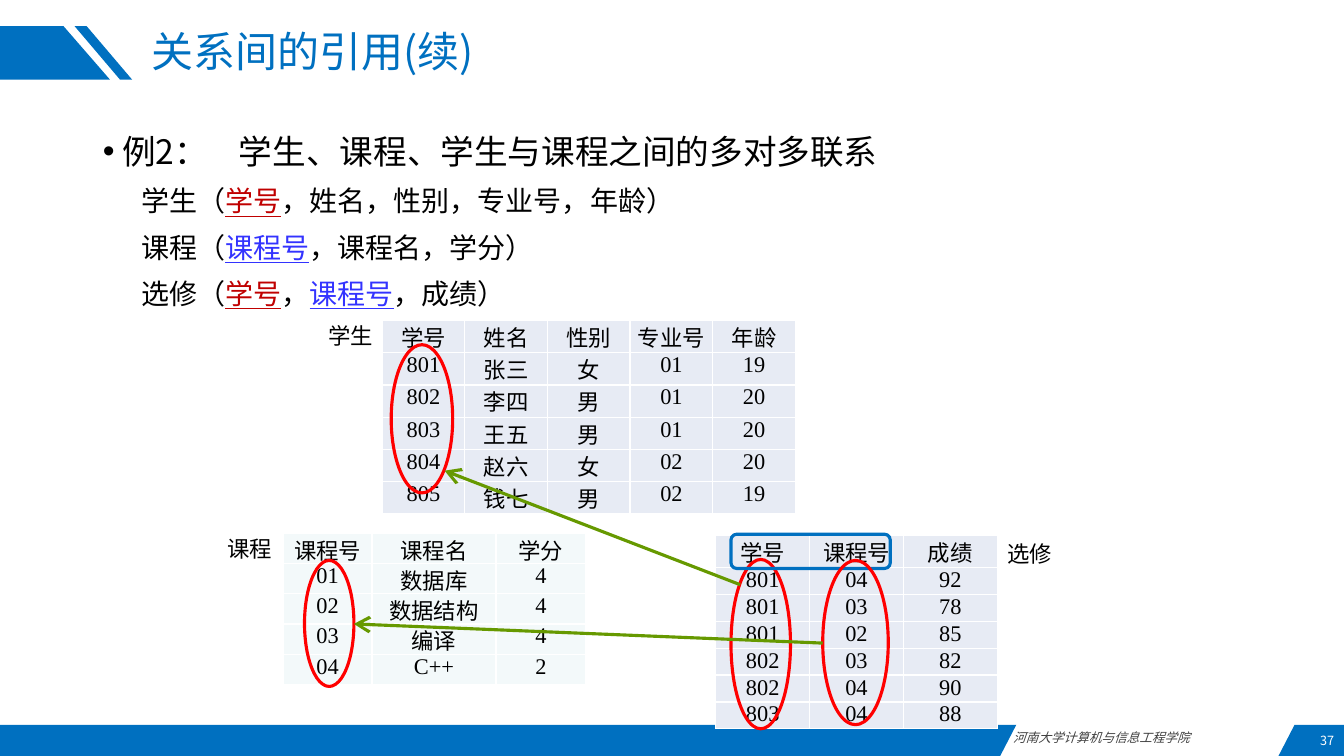
from lxml import etree
from pptx import Presentation
from pptx.dml.color import RGBColor
from pptx.enum.shapes import MSO_CONNECTOR, MSO_SHAPE
from pptx.enum.text import MSO_ANCHOR, MSO_AUTO_SIZE, PP_ALIGN
from pptx.oxml.ns import qn
from pptx.util import Inches, Pt

LEFT, CENTER, RIGHT = PP_ALIGN.LEFT, PP_ALIGN.CENTER, PP_ALIGN.RIGHT
JUSTIFY = PP_ALIGN.JUSTIFY
TOP, MIDDLE = MSO_ANCHOR.TOP, MSO_ANCHOR.MIDDLE
OVAL, ROUNDED = MSO_SHAPE.OVAL, MSO_SHAPE.ROUNDED_RECTANGLE

CJK, SERIF = "Noto Sans CJK SC", "Times New Roman"
BLUE, BLACK, WHITE = "0070C0", "000000", "FFFFFF"
RED, GREEN, CRIMSON, INDIGO = "FF0000", "669900", "C00000", "3333FF"

# Content
TITLE = "关系间的引用(续)"
STUDENT_KEY, COURSE_KEY = ("学号", CRIMSON), ("课程号", INDIGO)
HEADING = [("例2：\t学生、课程、学生与课程之间的多对多联系", BLACK)]
RELATIONS = [
    [("学生（", BLACK), STUDENT_KEY, ("，姓名，性别，专业号，年龄）", BLACK)],
    [("课程（", BLACK), COURSE_KEY, ("，课程名，学分）", BLACK)],
    [("选修（", BLACK), STUDENT_KEY, ("，", BLACK), COURSE_KEY, ("，成绩）", BLACK)],
]
TABLES = [
    dict(at=(2.81, 5.29), cols=[0.88, 1.23, 0.89], heights=(0.3, 0.3),
         fill="F3F9FA", head_font="Arial", rows=[
             "课程号 课程名 学分", "01 数据库 4", "02 数据结构 4",
             "03 编译 4", "04 C++ 2"]),
    dict(at=(7.1, 5.31), cols=[0.93] * 3, heights=(0.32, 0.25),
         fill="E7EBF4", head_font=CJK, rows=[
             "学号 课程号 成绩", "801 04 92", "801 03 78", "801 02 85",
             "802 03 82", "802 04 90", "803 04 88"]),
    dict(at=(3.79, 3.18), cols=[0.82] * 5, heights=(0.32, 0.32),
         fill="E7EBF4", head_font=CJK, rows=[
             "学号 姓名 性别 专业号 年龄", "801 张三 女 01 19",
             "802 李四 男 01 20", "803 王五 男 01 20",
             "804 赵六 女 02 20", "805 钱七 男 02 19"]),
]
TABLE_NAMES = [("学生", 3.16, 3.15), ("选修", 9.89, 5.31), ("课程", 2.16, 5.26)]
BANDS = [
    [(0, 0.26), (0.63, 0.26), (1.09, 0.79), (0, 0.79)],
    [(0.86, 0.26), (1.31, 0.79), (1.19, 0.79), (0.74, 0.26)],
    [(0, 7.19), (10.08, 7.19), (9.92, 7.5), (0, 7.5)],
    [(12.84, 7.19), (13.33, 7.19), (13.33, 7.5), (12.68, 7.5)],
]
OUTLINES = [
    (OVAL, (3.02, 5.56, 0.49, 1.25), RED),
    (OVAL, (3.88, 3.42, 0.61, 1.47), RED),
    (OVAL, (7.25, 5.55, 0.59, 1.68), RED),
    (ROUNDED, (7.25, 5.3, 1.58, 0.34), BLUE),
    (OVAL, (8.16, 5.56, 0.65, 1.63), RED),
]
REFERENCES = [((7.34, 5.8), (4.41, 4.67)), ((8.16, 6.38), (3.51, 6.19))]


def rgb(value):
    return RGBColor.from_string(value)


def inches(values):
    return [Inches(v) for v in values]


def add_run(p, text, size, color=BLACK, font=CJK, **formats):
    r = p.add_run()
    r.text = text
    settings = dict(name=font, size=Pt(size), bold=False, **formats)
    for key, value in settings.items():
        setattr(r.font, key, value)
    r.font.color.rgb = rgb(color)
    etree.SubElement(r.font._element, qn("a:ea"), typeface=CJK)


def add_label(text, box, size, color=BLACK, align=LEFT, anchor=TOP, **formats):
    tf = s.shapes.add_textbox(*inches(box)).text_frame
    tf.word_wrap, tf.vertical_anchor = True, anchor
    tf.paragraphs[0].alignment = align
    add_run(tf.paragraphs[0], text, size, color, **formats)


def fill_cell(cell, text, font, fill):
    cell.margin_left = cell.margin_right = Inches(0.07)
    cell.margin_top = cell.margin_bottom = 0
    tc_pr = cell._tc.get_or_add_tcPr()
    for side in ("a:lnL", "a:lnR", "a:lnT", "a:lnB"):
        ln = etree.SubElement(tc_pr, qn(side), w=str(Pt(1)))
        solid = etree.SubElement(ln, qn("a:solidFill"))
        etree.SubElement(solid, qn("a:srgbClr"), val=WHITE)
    cell.fill.solid()
    cell.fill.fore_color.rgb = rgb(fill)
    p = cell.text_frame.paragraphs[0]
    p.alignment = CENTER
    add_run(p, text, 16, font=font)


def add_relation(at, cols, heights, fill, head_font, rows):
    total = heights[0] + heights[1] * (len(rows) - 1)
    frame = s.shapes.add_table(len(rows), len(cols), *inches(at),
                               Inches(sum(cols)), Inches(total))
    table = frame.table
    table.first_row = table.horz_banding = False
    for column, width in zip(table.columns, cols):
        column.width = Inches(width)
    for i, row in enumerate(rows):
        table.rows[i].height = Inches(heights[min(i, 1)])
        for j, text in enumerate(row.split()):
            fill_cell(table.cell(i, j), text, SERIF if i else head_font, fill)
    frame.height = Inches(total)


prs = Presentation()
prs.slide_width, prs.slide_height = Inches(13.33), Inches(7.5)
s = prs.slides.add_slide(prs.slide_layouts[1])

# Header and footer bands
for points in BANDS:
    corners = [inches(point) for point in points]
    builder = s.shapes.build_freeform(*corners[0])
    builder.add_line_segments(corners[1:], close=True)
    sp = builder.convert_to_shape()
    sp.shadow.inherit = False
    sp.fill.solid()
    sp.fill.fore_color.rgb = rgb(BLUE)
    sp.line.fill.background()
add_label("河南大学计算机与信息工程学院", (9.95, 7.19, 2.73, 0.25), 9, "404040",
          JUSTIFY, italic=True)
add_label("37", (11.94, 7.2, 1.39, 0.3), 9, WHITE, RIGHT, MIDDLE)

# Title and relation schemas
title, body = s.shapes.title, s.placeholders[1]
for sp, box, anchor in ((title, (1.4, 0.26, 10.45, 0.56), MIDDLE),
                        (body, (0.92, 1.25, 11.5, 5.72), TOP)):
    sp.left, sp.top, sp.width, sp.height = inches(box)
    sp.text_frame.auto_size = MSO_AUTO_SIZE.NONE
    sp.text_frame.vertical_anchor = anchor
p = title.text_frame.paragraphs[0]
p.alignment, p.line_spacing = LEFT, 0.9
add_run(p, TITLE, 30, BLUE)

tf = body.text_frame
for i, parts in enumerate([HEADING] + RELATIONS):
    p = tf.add_paragraph() if i else tf.paragraphs[0]
    p.level = 1 if i else 0
    p.line_spacing = 1.0
    p.space_before, p.space_after = Pt(4.5 if i else 0), Pt(4.5)
    p_pr = p._p.get_or_add_pPr()
    p_pr.set("marL", str(Inches(0.38 if i else 0.19)))
    p_pr.set("indent", str(Inches(0 if i else -0.19)))
    if i:
        etree.SubElement(p_pr, qn("a:buNone"))
    else:
        etree.SubElement(p_pr, qn("a:buFont"), typeface="Arial")
        etree.SubElement(p_pr, qn("a:buChar"), char="•")
        tabs = etree.SubElement(p_pr, qn("a:tabLst"))
        etree.SubElement(tabs, qn("a:tab"), pos=str(Inches(1.35)), algn="l")
    for text, color in parts:
        add_run(p, text, 20 if i else 24, color, underline=color != BLACK)

# Relation tables and their names
for relation in TABLES:
    add_relation(**relation)
for name, x, y in TABLE_NAMES:
    add_label(name, (x, y, 0.7, 0.37), 16)

# Key outlines and reference arrows
for kind, box, color in OUTLINES:
    sp = s.shapes.add_shape(kind, *inches(box))
    sp.shadow.inherit = False
    sp.fill.background()
    sp.line.color.rgb, sp.line.width = rgb(color), Pt(2.25)
for start, end in REFERENCES:
    line = s.shapes.add_connector(MSO_CONNECTOR.STRAIGHT, *inches(start + end))
    line.line.color.rgb, line.line.width = rgb(GREEN), Pt(2.25)
    etree.SubElement(line.line._get_or_add_ln(), qn("a:tailEnd"), type="arrow",
                     w="lg", len="lg")
    etree.SubElement(line._element.spPr, qn("a:effectLst"))

prs.save("out.pptx")
